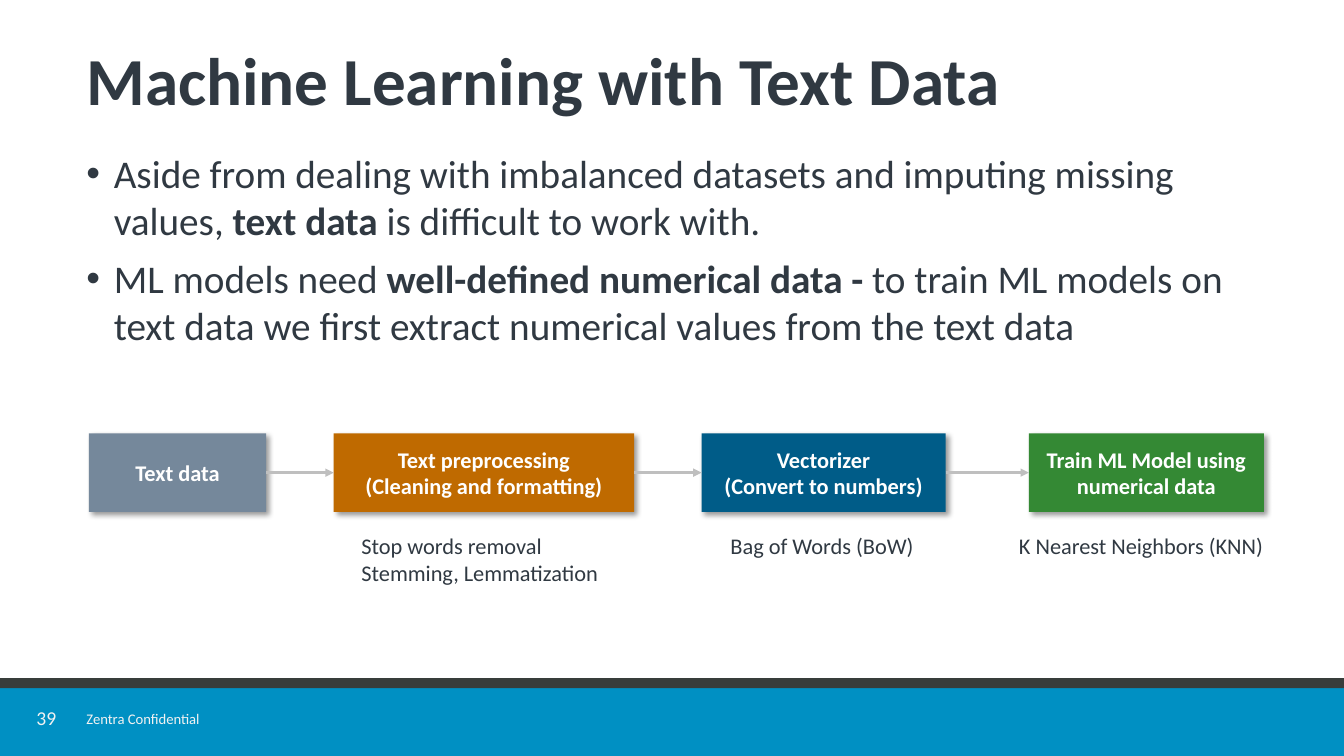
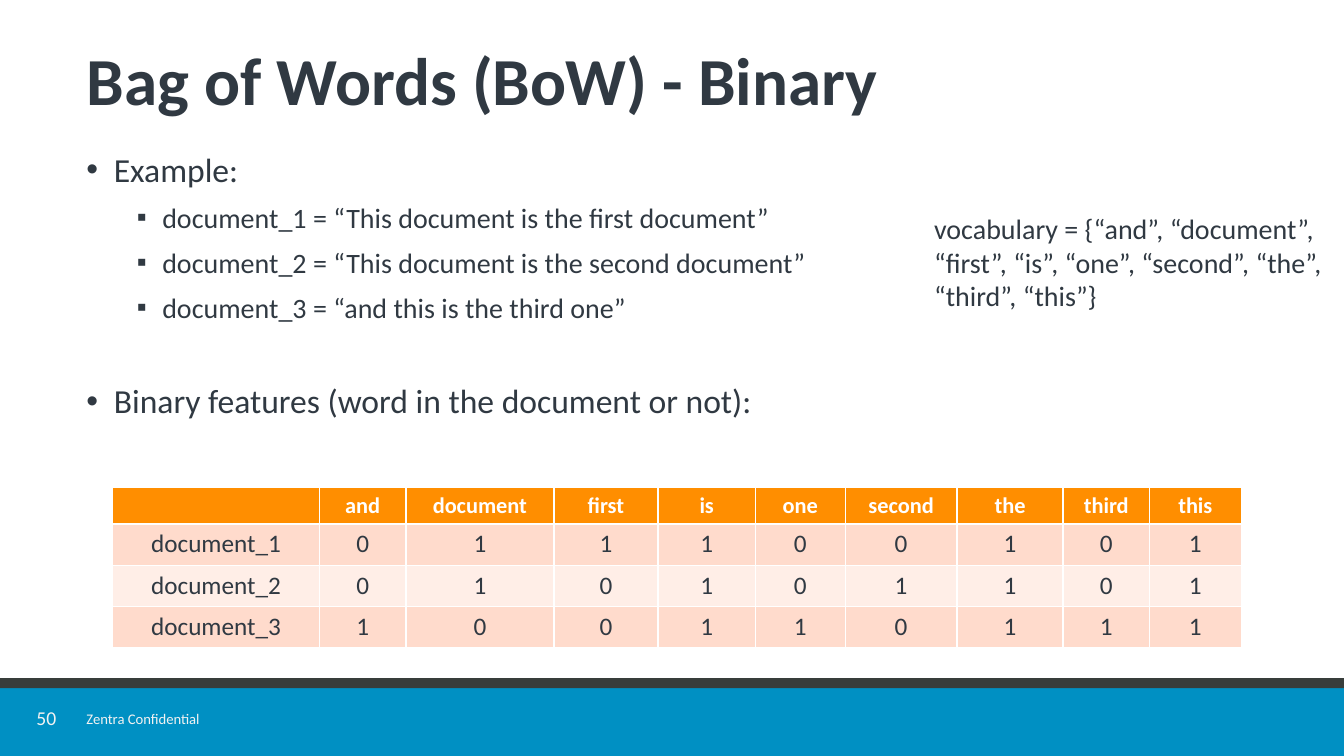
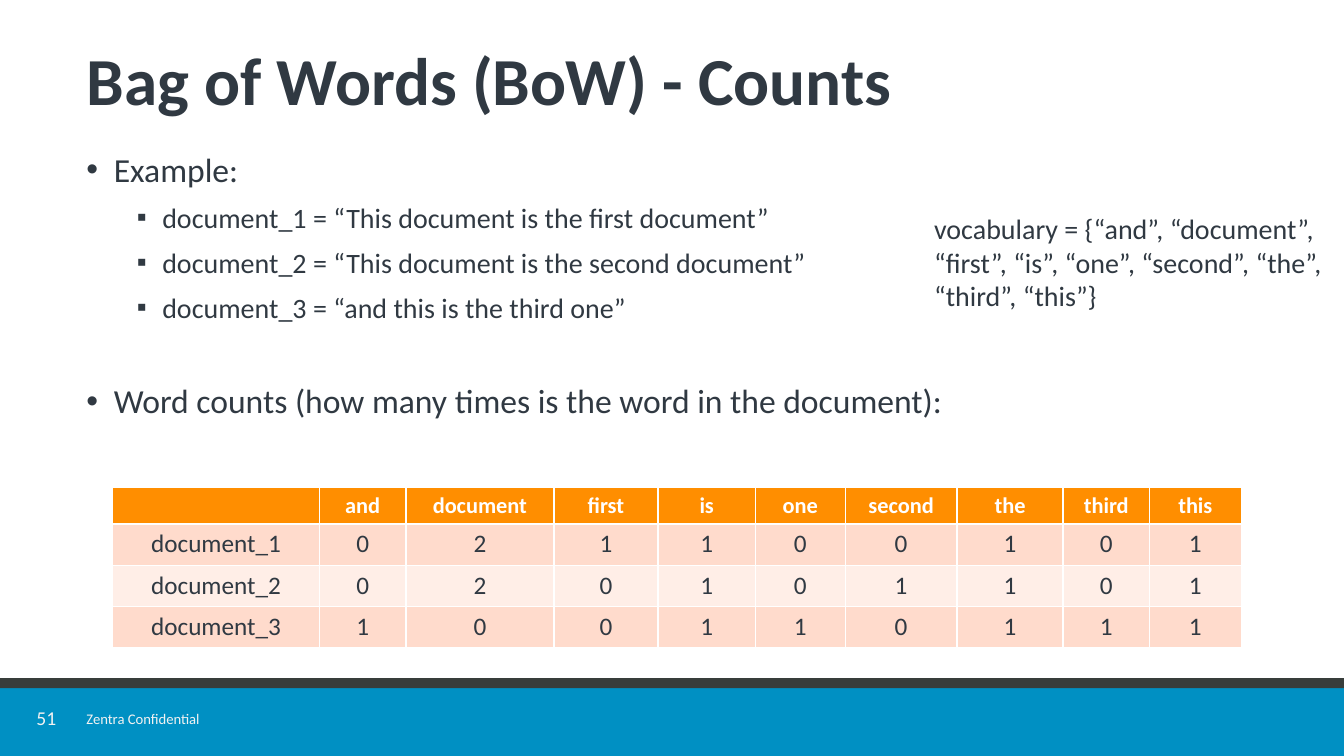
"""Three slides on turning text data into numerical features."""
from lxml import etree
from pptx import Presentation
from pptx.dml.color import RGBColor
from pptx.enum.shapes import MSO_CONNECTOR, MSO_SHAPE
from pptx.enum.text import MSO_ANCHOR, PP_ALIGN
from pptx.oxml.ns import qn
from pptx.util import Cm, Pt

RECTANGLE = MSO_SHAPE.RECTANGLE
STRAIGHT = MSO_CONNECTOR.STRAIGHT
TOP, MIDDLE = MSO_ANCHOR.TOP, MSO_ANCHOR.MIDDLE
CENTER = PP_ALIGN.CENTER

FONT = "Calibri"
INK = RGBColor(0x30, 0x39, 0x42)
WHITE = RGBColor(0xFF, 0xFF, 0xFF)
PALE = RGBColor(0xF2, 0xF2, 0xF2)
BLUE = RGBColor(0x00, 0x90, 0xC3)
CHARCOAL = RGBColor(0x38, 0x3D, 0x3B)
SLATE = RGBColor(0x75, 0x88, 0x9B)
BROWN = RGBColor(0xBF, 0x6A, 0x00)
NAVY = RGBColor(0x00, 0x5C, 0x88)
GREEN = RGBColor(0x34, 0x89, 0x34)
SILVER = RGBColor(0xBF, 0xBF, 0xBF)
ORANGE = RGBColor(0xFF, 0x8E, 0x00)
PEACH = RGBColor(0xFF, 0xDB, 0xCC)
LIGHT_PEACH = RGBColor(0xFF, 0xEE, 0xE7)

BULLETS = [("•", 0.69, 0.69), ("▪", 1.91, 0.64)]
DOCUMENTS = [
    "document_1 = “This document is the first document”",
    "document_2 = “This document is the second document”",
    "document_3 = “and this is the third one”",
]
EXAMPLE = [(0, 24, 0, [("Example:", False)])]
EXAMPLE += [(1, 20, 8, [(document, False)]) for document in DOCUMENTS]
VOCABULARY = ["and", "document", "first", "is", "one", "second", "the", "third", "this"]
VOCABULARY_TEXT = "vocabulary = {" + ", ".join(f"“{word}”" for word in VOCABULARY) + "}"
COLUMN_WIDTHS = [5.21, 2.18, 3.73, 2.62, 2.46, 2.26, 2.82, 2.67, 2.18, 2.31]
ROW_HEIGHTS = [0.89, 1.04, 1.04, 1.04]

SLIDES = [
    ("39", "Machine Learning with Text Data", [
        (0, 28, 0, [
            ("Aside from dealing with imbalanced datasets and imputing missing values, ", False),
            ("text data ", True),
            ("is difficult to work with.", False),
        ]),
        (0, 28, 8, [
            ("ML models need ", False),
            ("well-defined numerical data - ", True),
            ("to train ML models on text data we first extract numerical values "
             "from the text data", False),
        ]),
    ], None),
    ("50", "Bag of Words (BoW) - Binary", EXAMPLE + [
        (0, 24, 40.4, [("Binary features (word in the document or not):", False)]),
    ], ["011100101", "010101101", "100110111"]),
    ("51", "Bag of Words (BoW) - Counts", EXAMPLE + [
        (0, 24, 40.4, [("Word counts (how many times is the word in the document):", False)]),
    ], ["021100101", "020101101", "100110111"]),
]

STEPS = [
    (2.24, 4.47, SLATE, ["Text data"]),
    (8.41, 7.57, BROWN, ["Text preprocessing", "(Cleaning and formatting)"]),
    (17.68, 6.15, NAVY, ["Vectorizer", "(Convert to numbers)"]),
    (25.93, 5.92, GREEN, ["Train ML Model using numerical data"]),
]
CAPTIONS = [
    (8.86, 7.11, ["Stop words removal", "Stemming, Lemmatization"]),
    (18.16, 5.69, ["Bag of Words (BoW)"]),
    (25.43, 7.19, ["K Nearest Neighbors (KNN)"]),
]


def add_box(page, left, top, width, height, anchor=TOP):
    """Add a wrapping text box and return its text frame."""
    frame = page.shapes.add_textbox(Cm(left), Cm(top), Cm(width), Cm(height)).text_frame
    frame.word_wrap = True
    frame.vertical_anchor = anchor
    return frame


def add_span(para, text, size, color, bold=False):
    """Add one formatted run to a paragraph."""
    span = para.add_run()
    span.text = text
    span.font.name = FONT
    span.font.size = Pt(size)
    span.font.bold = bold
    span.font.color.rgb = color


deck = Presentation()
deck.slide_width, deck.slide_height = Cm(33.87), Cm(19.05)

for number, title, outline, counts in SLIDES:
    page = deck.slides.add_slide(deck.slide_layouts[6])

    for height, color in [(1.96, BLUE), (0.25, CHARCOAL)]:
        band = page.shapes.add_shape(RECTANGLE, 0, Cm(17.09), deck.slide_width, Cm(height))
        band.shadow.inherit = False
        band.fill.solid()
        band.fill.fore_color.rgb = color
        band.line.fill.background()

    frame = add_box(page, 0.84, 17.83, 0.66, 0.58, MIDDLE)
    frame.margin_left = frame.margin_right = frame.margin_top = frame.margin_bottom = 0
    para = frame.paragraphs[0]
    para.alignment = CENTER
    para.line_spacing = 0.9
    add_span(para, number, 14, PALE)

    frame = add_box(page, 1.93, 17.75, 4.06, 0.71)
    add_span(frame.paragraphs[0], "Zentra Confidential", 10.5, PALE)

    frame = add_box(page, 1.93, 0.81, 30.25, 2.74, MIDDLE)
    frame.paragraphs[0].line_spacing = 0.8
    add_span(frame.paragraphs[0], title, 48, INK, True)

    frame = add_box(page, 1.93, 3.63, 30.23, 12.78)
    for index, (level, size, gap, spans) in enumerate(outline):
        para = frame.add_paragraph() if index else frame.paragraphs[0]
        symbol, margin, hanging = BULLETS[level]
        properties = para._p.get_or_add_pPr()
        properties.set("marL", str(Cm(margin)))
        properties.set("indent", str(-Cm(hanging)))
        etree.SubElement(properties, qn("a:buFont"), typeface="Arial")
        etree.SubElement(properties, qn("a:buChar"), char=symbol)
        para.level = level
        para.space_before = Pt(gap)
        for text, bold in spans:
            add_span(para, text, size, INK, bold)

    if counts:
        frame = add_box(page, 23.29, 5.21, 10.57, 2.82)
        add_span(frame.paragraphs[0], VOCABULARY_TEXT, 20, INK)

        rows = [["", *VOCABULARY]]
        rows += [[f"document_{index}", *digits] for index, digits in enumerate(counts, 1)]
        table = page.shapes.add_table(
            len(rows), len(rows[0]), Cm(2.84), Cm(12.27),
            Cm(sum(COLUMN_WIDTHS)), Cm(sum(ROW_HEIGHTS))).table
        for column, width in zip(table.columns, COLUMN_WIDTHS):
            column.width = Cm(width)
        for row_index, words in enumerate(rows):
            table.rows[row_index].height = Cm(ROW_HEIGHTS[row_index])
            header = row_index == 0
            fill = ORANGE if header else (LIGHT_PEACH, PEACH)[row_index % 2]
            for column_index, word in enumerate(words):
                cell = table.cell(row_index, column_index)
                cell.fill.solid()
                cell.fill.fore_color.rgb = fill
                para = cell.text_frame.paragraphs[0]
                para.alignment = CENTER
                if word:
                    add_span(para, word, 16 if header else 18, WHITE if header else INK, header)
                else:
                    etree.SubElement(para._p, qn("a:endParaRPr"), sz="1600")

page = deck.slides[0]
previous = None
for left, width, color, lines in STEPS:
    step = page.shapes.add_shape(RECTANGLE, Cm(left), Cm(10.92), Cm(width), Cm(1.98))
    step.fill.solid()
    step.fill.fore_color.rgb = color
    step.line.fill.background()
    step.shadow.inherit = False
    shadow = etree.SubElement(
        step._element.spPr.find(qn("a:effectLst")), qn("a:outerShdw"),
        blurRad=str(Pt(4)), dist=str(Pt(3)), dir="2700000", algn="tl", rotWithShape="0")
    shade = etree.SubElement(shadow, qn("a:srgbClr"), val="000000")
    etree.SubElement(shade, qn("a:alpha"), val="40000")
    frame = step.text_frame
    frame.word_wrap = True
    frame.vertical_anchor = MIDDLE
    for index, line in enumerate(lines):
        para = frame.add_paragraph() if index else frame.paragraphs[0]
        para.alignment = CENTER
        add_span(para, line, 16, WHITE, True)
    if previous:
        arrow = page.shapes.add_connector(STRAIGHT, 0, 0, 0, 0)
        arrow.begin_connect(previous, 3)
        arrow.end_connect(step, 1)
        arrow.line.color.rgb = SILVER
        arrow.line.width = Pt(1.75)
        etree.SubElement(arrow.line._get_or_add_ln(), qn("a:tailEnd"), type="triangle")
        etree.SubElement(arrow._element.spPr, qn("a:effectLst"))
    previous = step

for left, width, lines in CAPTIONS:
    frame = add_box(page, left, 13.28, width, 0.27 + 0.68 * len(lines))
    for index, line in enumerate(lines):
        para = frame.add_paragraph() if index else frame.paragraphs[0]
        add_span(para, line, 16, INK)

deck.save("out.pptx")
